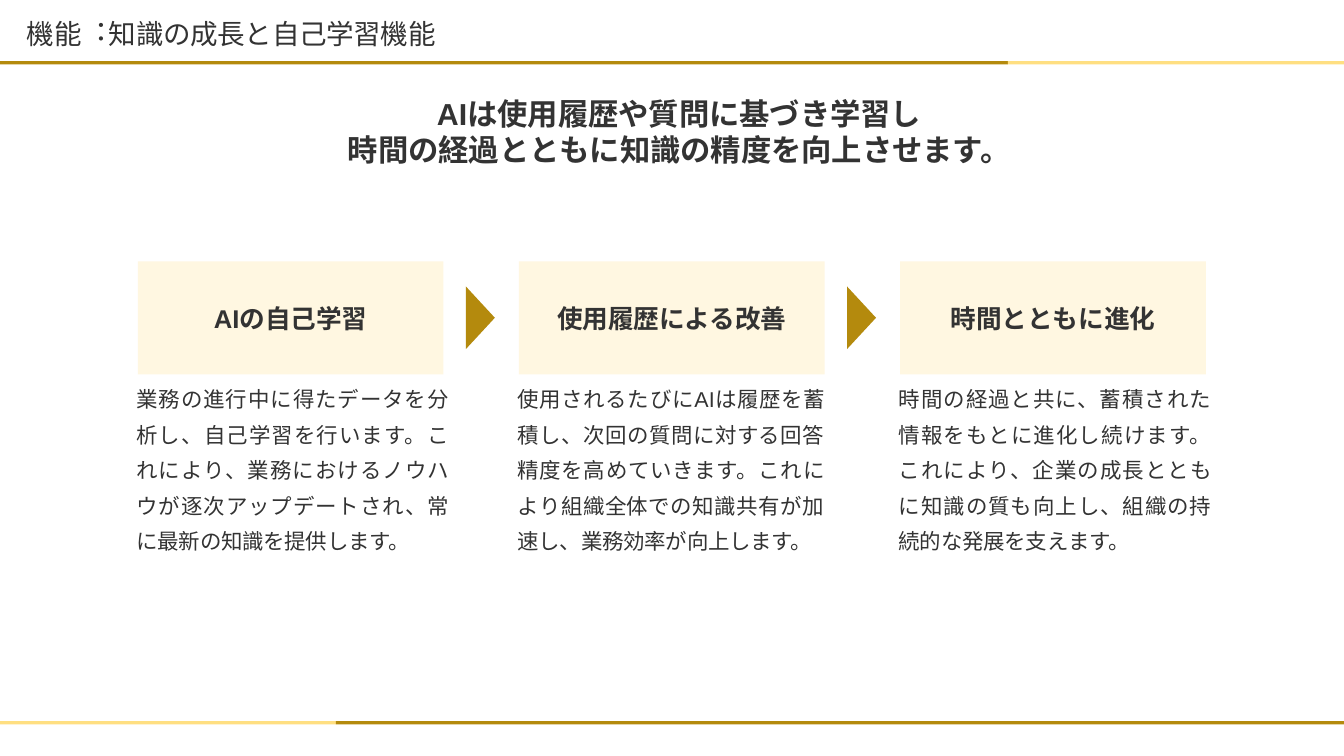
import pptx
import pptx.util
import pptx.dml.color
import pptx.enum.shapes
import pptx.enum.text
import pptx.oxml.ns
from lxml import etree

Pt = pptx.util.Pt
Align = pptx.enum.text.PP_ALIGN
Anchor = pptx.enum.text.MSO_ANCHOR
RGBColor = pptx.dml.color.RGBColor

GOLD = RGBColor(0xB4, 0x8A, 0x0D)
LIGHT_GOLD = RGBColor(0xFF, 0xDF, 0x81)
CREAM = RGBColor(0xFF, 0xF7, 0xE1)
INK = RGBColor(0x33, 0x33, 0x33)
LATIN = "Arial"
JAPANESE = "Noto Sans CJK SC"

SLIDE_WIDTH, SLIDE_HEIGHT = 1440, 810
BAR_HEIGHT = 3.6
COLUMN_LEFT, COLUMN_PITCH = 147.6, 408.4
CARD_TOP, CARD_WIDTH, CARD_HEIGHT = 280, 327.6, 121
ARROW_GAP, ARROW_WIDTH, ARROW_HEIGHT = 24, 31, 67

COLUMNS = [
    (
        [("AI", 0), ("の⾃⼰学習", -0.1)],
        [
            ("業務の進⾏中に得たデータを分析し、⾃⼰学習を⾏います。こ", 0.6),
            ("れにより、業務におけるノウハウが逐次アップデートされ、常", -0.1),
            ("に最新の知識を提供します。", -0.3),
        ],
        335.5,
    ),
    (
        [("使⽤履歴による改善", -0.1)],
        [
            ("使⽤されるたびに", 0),
            ("AI", 0),
            ("は履歴を蓄積し、次回の質問に対する回答精度を高めていきます。これにより組織全体での知識共有が加", -0.1),
            ("速し、業務効率が向上します。", -0.3),
        ],
        329,
    ),
    (
        [("時間とともに進化", -0.1)],
        [
            ("時間の経過と共に、蓄積された情報をもとに進化し続けます。", 0.6),
            ("これにより、企業の成長とともに知識の質も向上し、組織の持", -0.1),
            ("続的な発展を支えます。", -0.3),
        ],
        335.5,
    ),
]


class SlideBuilder:
    def __init__(self, slide):
        self.slide = slide

    def paint(self, shape, color):
        shape.shadow.inherit = False
        shape.fill.solid()
        shape.fill.fore_color.rgb = color
        shape.line.fill.background()
        return shape

    def rectangle(self, left, top, width, height, color):
        kind = pptx.enum.shapes.MSO_SHAPE.RECTANGLE
        shape = self.slide.shapes.add_shape(kind, Pt(left), Pt(top), Pt(width), Pt(height))
        return self.paint(shape, color)

    def two_tone_bar(self, top, split, left_color, right_color):
        self.rectangle(0, top, split, BAR_HEIGHT, left_color)
        self.rectangle(split, top, SLIDE_WIDTH - split, BAR_HEIGHT, right_color)

    def arrow(self, left, top):
        builder = self.slide.shapes.build_freeform(Pt(left), Pt(top))
        corners = [(left + ARROW_WIDTH, top + ARROW_HEIGHT / 2), (left, top + ARROW_HEIGHT)]
        builder.add_line_segments([(Pt(x), Pt(y)) for x, y in corners], close=True)
        self.paint(builder.convert_to_shape(), GOLD)

    def text_box(self, left, top, width, height):
        return self.slide.shapes.add_textbox(Pt(left), Pt(top), Pt(width), Pt(height))

    def fill_text(self, box, paragraphs, size, bold=False, align=Align.LEFT,
                  anchor=Anchor.TOP, inset=0, before=0, line_spacing=None):
        frame = box.text_frame
        frame.word_wrap = True
        frame.auto_size = pptx.enum.text.MSO_AUTO_SIZE.NONE
        frame.vertical_anchor = anchor
        frame.margin_left = frame.margin_right = frame.margin_bottom = 0
        frame.margin_top = Pt(inset)
        for index, spans in enumerate(paragraphs):
            para = frame.add_paragraph() if index else frame.paragraphs[0]
            para.alignment = align
            para.space_before = Pt(0 if index else before)
            if line_spacing:
                para.line_spacing = line_spacing
            for text, tracking in spans:
                self.span(para, text, tracking, size, bold)

    def span(self, para, text, tracking, size, bold):
        span = para.add_run()
        span.text = text
        font = span.font
        font.size = Pt(size)
        font.bold = bold
        font.color.rgb = INK
        font.name = LATIN if text.isascii() else JAPANESE
        properties = span._r.get_or_add_rPr()
        properties.set("spc", str(round(tracking * 100)))
        east_asian = etree.SubElement(properties, pptx.oxml.ns.qn("a:ea"))
        east_asian.set("typeface", JAPANESE)

    def title(self, spans):
        box = self.slide.shapes.title
        box.left, box.top, box.width, box.height = Pt(28.8), Pt(17.3), Pt(443.5), Pt(37.4)
        self.fill_text(box, [spans], 29.5, inset=0.7, before=0.9)

    def message(self, paragraphs):
        box = self.text_box(366.5, 101.5, 722, 79)
        self.fill_text(box, paragraphs, 32.5, bold=True, align=Align.CENTER,
                       inset=1.4, before=1.2, line_spacing=Pt(38.3))

    def column(self, left, heading, body, body_width):
        card = self.rectangle(left, CARD_TOP, CARD_WIDTH, CARD_HEIGHT, CREAM)
        self.fill_text(card, [heading], 27.5, bold=True, align=Align.CENTER, anchor=Anchor.MIDDLE)
        box = self.text_box(left - 1.4, CARD_TOP + CARD_HEIGHT, body_width, 193.7)
        self.fill_text(box, [body], 23, align=Align.JUSTIFY, inset=2.2, before=2.2, line_spacing=1.38)


def main():
    deck = pptx.Presentation()
    deck.slide_width, deck.slide_height = Pt(SLIDE_WIDTH), Pt(SLIDE_HEIGHT)
    page = SlideBuilder(deck.slides.add_slide(deck.slide_layouts.get_by_name("Title Only")))

    page.two_tone_bar(65.5, 1080, GOLD, LIGHT_GOLD)
    page.two_tone_bar(772.6, 360, LIGHT_GOLD, GOLD)
    page.title([("機能︓", -0.3), ("知識の成長と⾃⼰学習機能", -0.4)])
    page.message([
        [("AI", 0), ("は使⽤履歴や質問に基づき学習し", -0.1)],
        [("時間の経過とともに知識の精度を向上させます。", -0.1)],
    ])

    for index, (heading, body, body_width) in enumerate(COLUMNS):
        left = COLUMN_LEFT + index * COLUMN_PITCH
        page.column(left, heading, body, body_width)
        if index < len(COLUMNS) - 1:
            arrow_top = CARD_TOP + (CARD_HEIGHT - ARROW_HEIGHT) / 2
            page.arrow(left + CARD_WIDTH + ARROW_GAP, arrow_top)

    deck.save("out.pptx")


if __name__ == "__main__":
    main()
